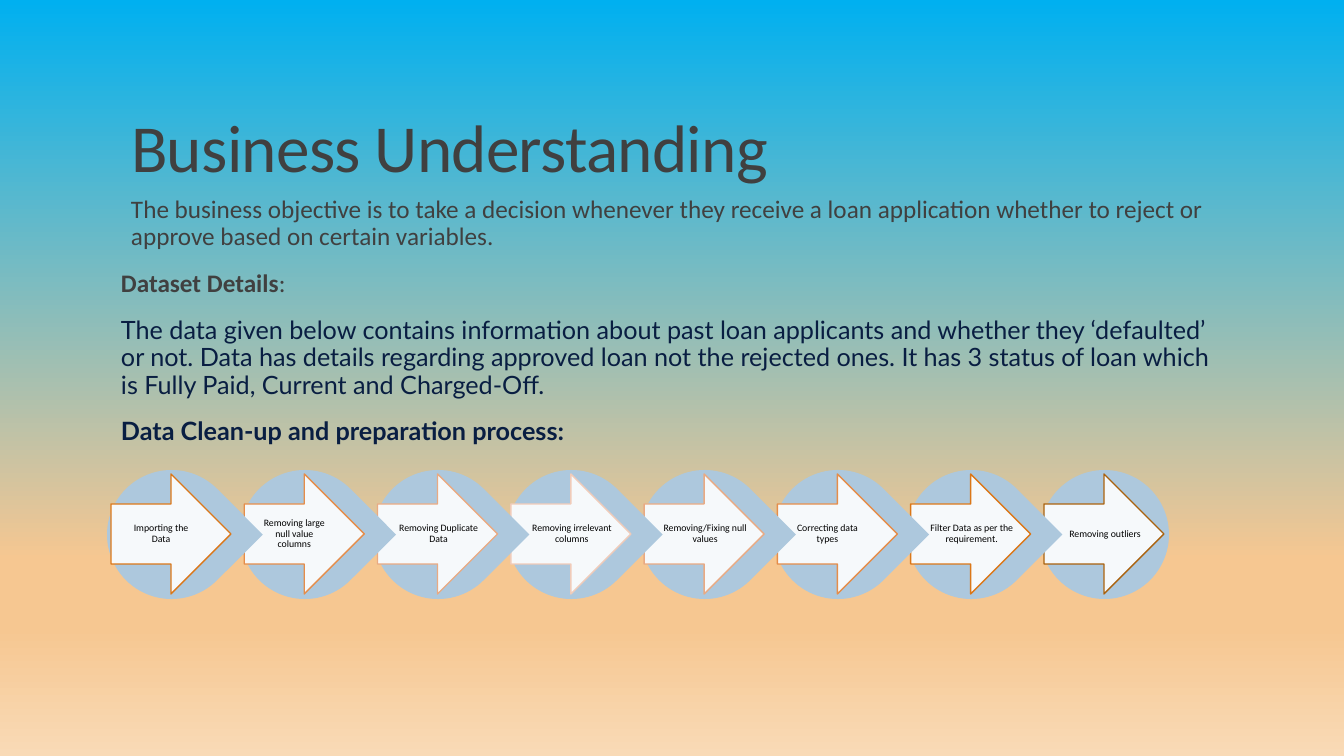
from dataclasses import dataclass

from lxml.etree import SubElement
from pptx import Presentation
from pptx.dml.color import RGBColor
from pptx.enum.shapes import MSO_SHAPE
from pptx.enum.text import MSO_ANCHOR, MSO_AUTO_SIZE, PP_ALIGN
from pptx.oxml.ns import qn
from pptx.util import Emu, Pt

SLIDE_W, SLIDE_H = 1344, 756
EMU_PER_PX = 12192000 / SLIDE_W


@dataclass(frozen=True)
class Theme:
    sky: tuple = ((0, "00B0F0"), (74, "F6C791"), (83, "F6C791"), (100, "F9DAB6"))
    text: str = "404040"
    navy: str = "091E42"
    label: str = "000000"
    disc: str = "ADC8DD"
    arrow: str = "FFFFFF"
    arrow_alpha: int = 90
    font: str = "Calibri"
    data_font: str = "Lato"
    title_pt: int = 48
    body_pt: int = 18
    label_pt: int = 7


THEME = Theme()

# Each paragraph: left indent in px, then runs of (text, bold, font, colour)
BODY = [
    (10, [("The business objective is to take a decision whenever they receive a loan "
           "application whether to reject or approve based on certain variables.",
           False, THEME.font, THEME.text)]),
    (0, [("Dataset Details", True, THEME.font, THEME.text),
         (":", False, THEME.font, THEME.text)]),
    (0, [("The data given below contains information about past loan applicants and "
          "whether they ‘defaulted’ or not. Data has details regarding approved loan not "
          "the rejected ones. It has 3 status of loan which is Fully Paid, Current and "
          "Charged-Off.", False, THEME.data_font, THEME.navy)]),
    (0, [("Data Clean-up and preparation process:", True,
          THEME.data_font, THEME.navy)]),
]

# Each step: label, label width in px, arrow outline
STEPS = [
    ("Importing the Data", 64, "DB7718"),
    ("Removing large null value columns", 64, "E58D4A"),
    ("Removing Duplicate Data", 86, "E9AA83"),
    ("Removing irrelevant columns", 86, "F0CBB9"),
    ("Removing/Fixing null values", 86, "E9AA83"),
    ("Correcting data types", 64, "E58D4A"),
    ("Filter Data as per the requirement.", 86, "DB7718"),
    ("Removing outliers", 86, "A9610D"),
]


def px(n):
    return Emu(round(n * EMU_PER_PX))


def place(shape, box):
    shape.left, shape.top, shape.width, shape.height = map(px, box)


def format_run(r, size, font, color, bold=False):
    r.font.size, r.font.name, r.font.bold = Pt(size), font, bold
    r.font.color.rgb = RGBColor.from_string(color)


def add_text_box(s, box, margin_x, margin_y):
    tf = s.shapes.add_textbox(*map(px, box)).text_frame
    tf.word_wrap = True
    tf.margin_left = tf.margin_right = px(margin_x)
    tf.margin_top = tf.margin_bottom = px(margin_y)
    return tf


def add_figure(s, kind, box, fill):
    sp = s.shapes.add_shape(kind, *map(px, box))
    sp.shadow.inherit = False
    sp.fill.solid()
    sp.fill.fore_color.rgb = RGBColor.from_string(fill)
    return sp


def paint_background(s):
    fill = s.background.fill
    fill.gradient()
    fill.gradient_angle = 270
    stops = s.element.find(".//" + qn("a:gsLst"))
    for stop in list(stops):
        stops.remove(stop)
    for pos, color in THEME.sky:
        stop = SubElement(stops, qn("a:gs"), pos=str(pos * 1000))
        SubElement(stop, qn("a:srgbClr"), val=color)


def add_title(s, box):
    title = s.shapes.title
    place(title, box)
    tf = title.text_frame
    tf.text = "Business Understanding"
    tf.auto_size = MSO_AUTO_SIZE.NONE
    tf.vertical_anchor = MSO_ANCHOR.BOTTOM
    p = tf.paragraphs[0]
    p.alignment, p.line_spacing = PP_ALIGN.LEFT, 0.85
    r = p.runs[0]
    format_run(r, THEME.title_pt, THEME.font, THEME.text)
    r.font._element.set("spc", "-50")


def add_body(s, box):
    tf = add_text_box(s, box, 0, 5)
    for i, (indent, runs) in enumerate(BODY):
        p = tf.paragraphs[0] if i == 0 else tf.add_paragraph()
        p.line_spacing, p.space_before, p.space_after = 0.9, Pt(12), Pt(2)
        p._p.get_or_add_pPr().set("marL", str(px(indent)))
        for text, bold, font, color in runs:
            r = p.add_run()
            r.text = text
            format_run(r, THEME.body_pt, font, color, bold)


def add_step(s, box, label, label_w, outline, is_last):
    x, y, size, _ = box
    # Disc, pointing at the next step unless it is the last
    kind = MSO_SHAPE.OVAL if is_last else MSO_SHAPE.TEAR
    disc = add_figure(s, kind, box, THEME.disc)
    disc.line.fill.background()
    disc.rotation = 0 if is_last else 45
    # Translucent arrow
    inner = size - 9
    arrow = add_figure(s, MSO_SHAPE.RIGHT_ARROW, (x + 4, y + 4, inner, inner), THEME.arrow)
    arrow.line.color.rgb = RGBColor.from_string(outline)
    arrow.line.width = Pt(1)
    color = arrow.element.spPr.find(qn("a:solidFill"))[0]
    SubElement(color, qn("a:alpha"), val=str(THEME.arrow_alpha * 1000))
    # Label
    tf = add_text_box(s, (x + 22, y + 21, label_w, 86), 1, 1)
    tf.vertical_anchor = MSO_ANCHOR.MIDDLE
    tf.text = label
    p = tf.paragraphs[0]
    p.alignment, p.line_spacing = PP_ALIGN.CENTER, 0.9
    format_run(p.runs[0], THEME.label_pt, THEME.font, THEME.label)


def add_process(s, box):
    x, y, w, size = box
    last = len(STEPS) - 1
    pitch = (w - size) / last
    # Right to left, so that each point overlaps the following arrow
    for i in range(last, -1, -1):
        add_step(s, (x + i * pitch, y, size, size), *STEPS[i], i == last)


def main():
    prs = Presentation()
    prs.slide_width, prs.slide_height = px(SLIDE_W), px(SLIDE_H)
    s = prs.slides.add_slide(prs.slide_layouts[5])
    paint_background(s)
    add_title(s, (121, 31, 1109, 160))
    add_body(s, (121, 192, 1109, 444))
    add_process(s, (107, 470, 1062, 129))
    prs.save("out.pptx")


if __name__ == "__main__":
    main()
